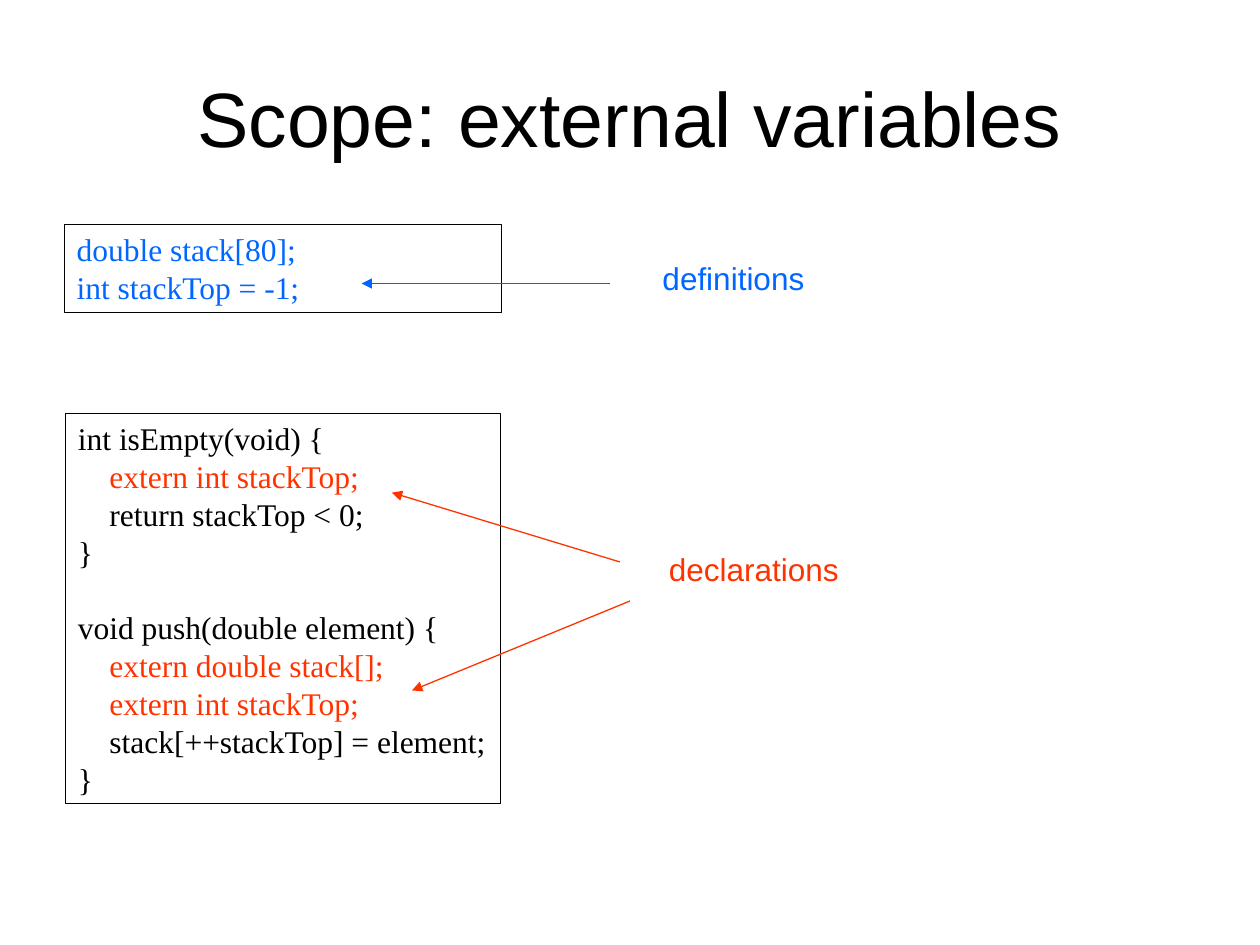
import pptx
import pptx.util
import pptx.dml.color
import pptx.enum.shapes
import pptx.enum.text
import pptx.oxml

PX = 9144  # EMU per px, 100 px to the inch
BLACK = pptx.dml.color.RGBColor(0x00, 0x00, 0x00)
BLUE = pptx.dml.color.RGBColor(0x00, 0x66, 0xFF)
RED = pptx.dml.color.RGBColor(0xFF, 0x33, 0x00)
LINE_HEIGHT = pptx.util.Pt(21.6)
INDENT = 25

# Each code line: indent level, text, colour; None stands for a gap of one line
DEFINITIONS = [
    (0, "double stack[80];", BLUE),
    (0, "int stackTop = -1;", BLUE),
]
FUNCTIONS = [
    (0, "int isEmpty(void) {", BLACK),
    (1, "extern int stackTop;", RED),
    (1, "return stackTop < 0;", BLACK),
    (0, "}", BLACK),
    None,
    (0, "void push(double element) {", BLACK),
    (1, "extern double stack[];", RED),
    (1, "extern int stackTop;", RED),
    (1, "stack[++stackTop] = element;", BLACK),
    (0, "}", BLACK),
]


def emu(*lengths):
    return [pptx.util.Emu(length * PX) for length in lengths]


def add_span(para, text, font, size, color):
    span = para.add_run()
    span.text = text
    span.font.name = font
    span.font.size = pptx.util.Pt(size)
    span.font.color.rgb = color


def add_title(page, box, text):
    title = page.shapes.title
    title.left, title.top, title.width, title.height = emu(*box)
    frame = title.text_frame
    frame.vertical_anchor = pptx.enum.text.MSO_ANCHOR.MIDDLE
    para = frame.paragraphs[0]
    para.alignment = pptx.enum.text.PP_ALIGN.CENTER
    add_span(para, text, "Arial", 44, BLACK)


def add_code(page, box, lines):
    panel = page.shapes.add_shape(pptx.enum.shapes.MSO_SHAPE.RECTANGLE, *emu(*box))
    panel.shadow.inherit = False
    panel.fill.background()
    panel.line.color.rgb = BLACK
    panel.line.width = pptx.util.Pt(0.75)
    frame = panel.text_frame
    frame.word_wrap = True
    frame.vertical_anchor = pptx.enum.text.MSO_ANCHOR.TOP
    para, after_gap = frame.paragraphs[0], False
    for number, line in enumerate(lines):
        if line is None:
            after_gap = True
            continue
        if number:
            para = frame.add_paragraph()
        level, text, color = line
        para.alignment = pptx.enum.text.PP_ALIGN.LEFT
        para.line_spacing = LINE_HEIGHT
        if after_gap:
            para.space_before = LINE_HEIGHT
            after_gap = False
        para._p.get_or_add_pPr().set("marL", str(level * INDENT * PX))
        add_span(para, text, "Times New Roman", 18, color)


def add_label(page, box, text, color):
    label = page.shapes.add_textbox(*emu(*box))
    label.text_frame.word_wrap = False
    add_span(label.text_frame.paragraphs[0], text, "Arial", 18, color)


def add_arrow(page, start, end, color):
    arrow = page.shapes.add_connector(
        pptx.enum.shapes.MSO_CONNECTOR.STRAIGHT, *emu(*start, *end))
    arrow.line.color.rgb = color
    arrow.line.width = pptx.util.Pt(0.75)
    head = pptx.oxml.parse_xml(
        '<a:tailEnd xmlns:a="http://schemas.openxmlformats.org/drawingml/2006/main"'
        ' type="triangle"/>')
    arrow.line._get_or_add_ln().append(head)
    effects = pptx.oxml.parse_xml(
        '<a:effectLst xmlns:a="http://schemas.openxmlformats.org/drawingml/2006/main"/>')
    arrow._element.spPr.append(effects)


def add_callout(page, box, text, color, arrows):
    """A label with arrows, whose ends are measured from the label's corner."""
    left, top = box[:2]
    for x1, y1, x2, y2 in arrows:
        add_arrow(page, (left + x1, top + y1), (left + x2, top + y2), color)
    add_label(page, box, text, color)


def main():
    deck = pptx.Presentation()
    deck.slide_width, deck.slide_height = emu(1000, 750)
    page = deck.slides.add_slide(deck.slide_layouts[5])

    add_title(page, (50, 30, 900, 125), "Scope: external variables")

    # Code panels
    add_code(page, (51, 178, 347, 70), DEFINITIONS)
    add_code(page, (52, 328, 345, 310), FUNCTIONS)

    # Labels pointing into the code, wide enough to stay on one line
    add_callout(page, (521, 432, 158, 40), "declarations", RED,
                [(-29, 14, -210, -41), (-21, 45, -194, 116)])
    add_callout(page, (516, 201, 136, 40), "definitions", BLUE,
                [(-32, 24, -229, 24)])

    deck.save("out.pptx")


if __name__ == "__main__":
    main()
